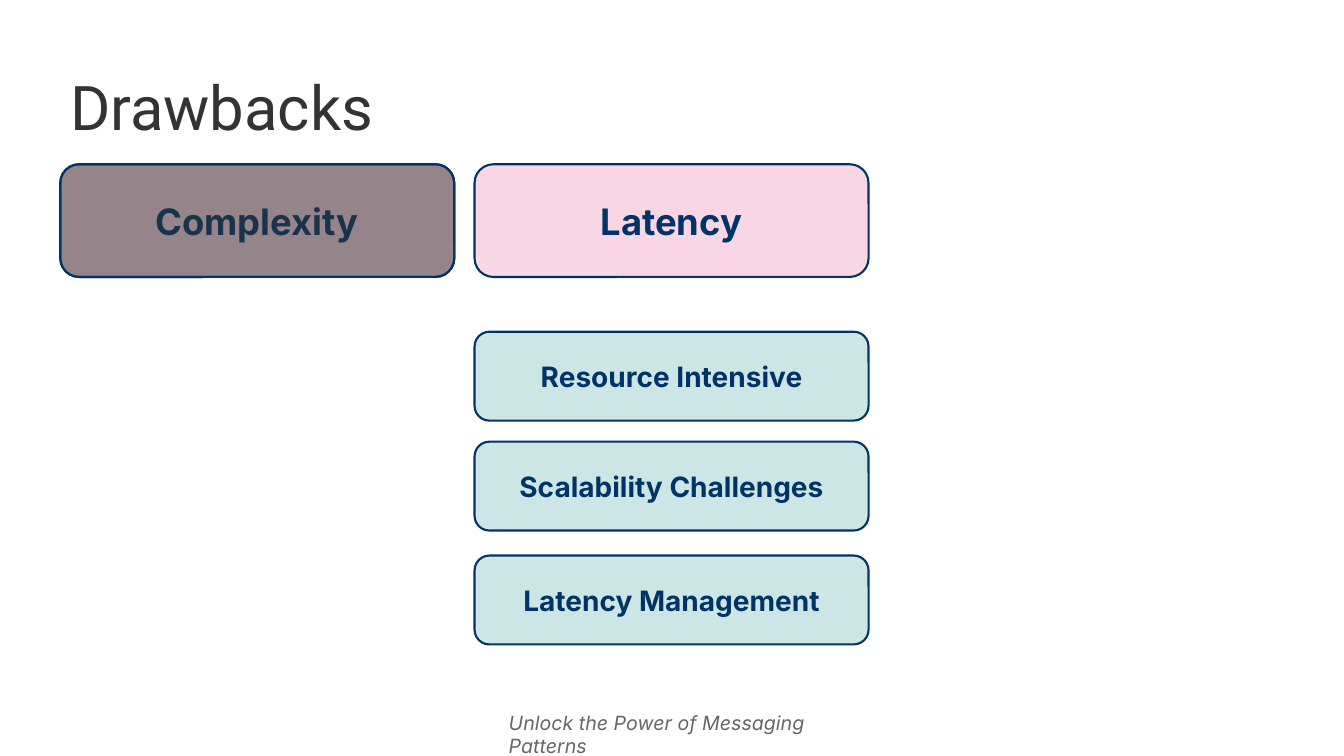
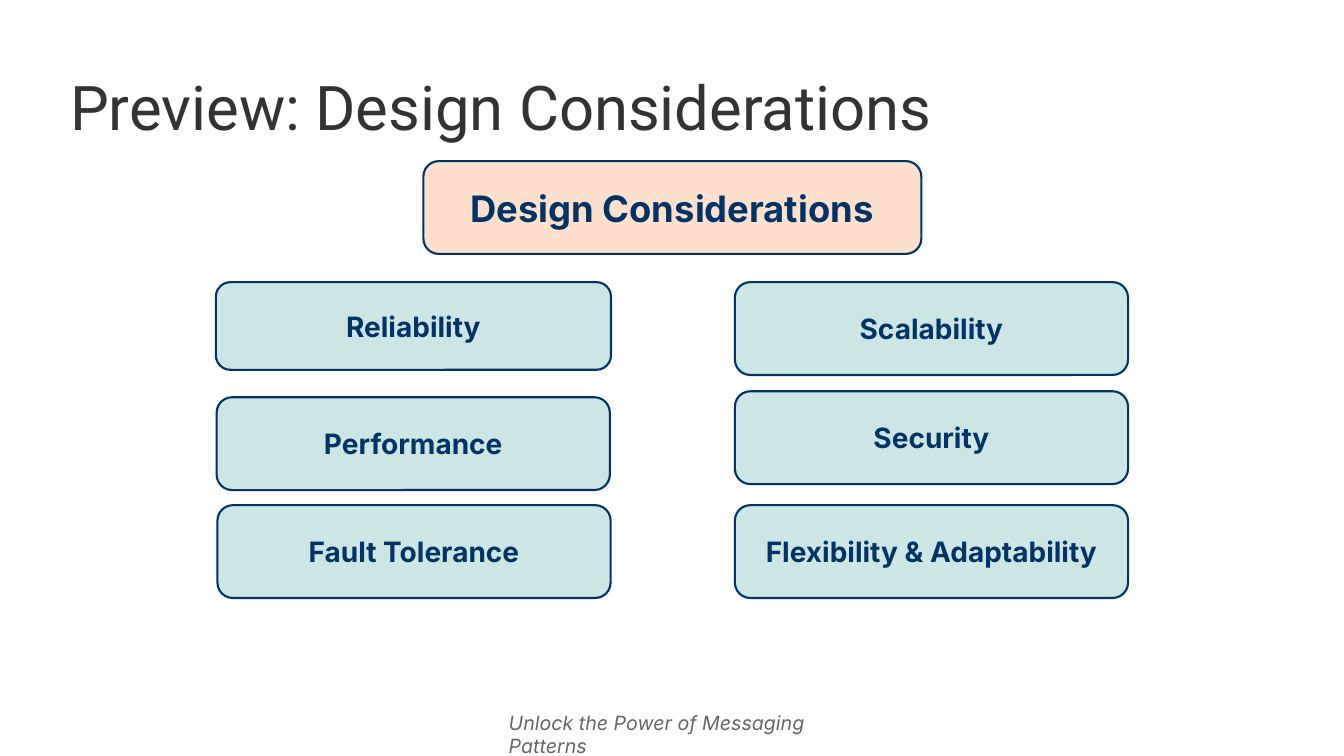
from dataclasses import dataclass

from lxml import etree
from pptx import Presentation
from pptx import util as u
from pptx.dml.color import RGBColor
from pptx.enum import shapes, text
from pptx.oxml.ns import qn

NAVY = RGBColor(0x00, 0x33, 0x66)
DARK = RGBColor(0x33, 0x33, 0x33)
GREY = RGBColor(0x66, 0x66, 0x66)
PINK = RGBColor(0xDD, 0x33, 0x77)
TEAL = RGBColor(0x00, 0x80, 0x80)
RUST = RGBColor(0xFF, 0x66, 0x00)

TITLE = dict(name="Roboto", size=u.Pt(44), color=DARK)
FOOT = dict(name="Inter", size=u.Pt(14), color=GREY, italic=True)
HEAD = dict(name="Inter", size=u.Pt(26), color=NAVY, bold=True)
ITEM = HEAD | dict(size=u.Pt(20))

LEFT = 1.52
MID = 11.96
WIDE = 9.93


@dataclass
class Box:
    x: float
    y: float
    w: float
    h: float

    def cm(self) -> list:
        return [u.Cm(v) for v in (self.x, self.y, self.w, self.h)]


@dataclass
class Card:
    words: str
    box: Box
    fill: RGBColor = TEAL
    style: dict = None
    alpha: int = 20


def write(shape, words: str, style: dict, **para) -> None:
    frame = shape.text_frame
    frame.word_wrap = True
    line = frame.paragraphs[0]
    for key, val in para.items():
        setattr(line, key, val)
    run = line.add_run()
    run.text = words
    for key, val in style.items():
        if key == "color":
            run.font.color.rgb = val
        else:
            setattr(run.font, key, val)


def label(slide, words: str, box: Box, style: dict, anchor, **para) -> None:
    shape = slide.shapes.add_textbox(*box.cm())
    write(shape, words, style, **para)
    shape.text_frame.vertical_anchor = anchor


def draw(slide, card: Card) -> None:
    shape = slide.shapes.add_shape(
        shapes.MSO_SHAPE.ROUNDED_RECTANGLE, *card.box.cm())
    shape.shadow.inherit = False
    shape.fill.solid()
    shape.fill.fore_color.rgb = card.fill
    tint = shape._element.spPr.find(qn("a:solidFill"))[0]
    etree.SubElement(tint, qn("a:alpha"), val=str(card.alpha * 1000))
    shape.line.color.rgb = NAVY
    shape.line.width = u.Pt(1.5)
    shape.text_frame.vertical_anchor = text.MSO_ANCHOR.MIDDLE
    if card.words:
        write(shape, card.words, card.style or ITEM,
              alignment=text.PP_ALIGN.CENTER)


def page(deck, title: str, cards: list[Card]) -> None:
    slide = deck.slides.add_slide(deck.slide_layouts[6])
    label(slide, "Unlock the Power of Messaging Patterns",
          Box(12.57, 17.78, 8.69, 0.86), FOOT, text.MSO_ANCHOR.TOP)
    label(slide, title, Box(LEFT, 1.27, 30.84, 3.05), TITLE,
          text.MSO_ANCHOR.MIDDLE, line_spacing=0.9)
    for card in cards:
        draw(slide, card)


def main() -> None:
    deck = Presentation()
    deck.slide_width, deck.slide_height = u.Cm(33.87), u.Cm(19.05)

    first = Box(LEFT, 4.14, WIDE, 2.84)
    issues = [
        Card("Complexity", first, PINK, HEAD),
        Card("Latency", Box(MID, 4.14, WIDE, 2.84), PINK, HEAD),
        Card("", first, DARK, alpha=50),
    ]
    for words, y in (("Resource Intensive", 8.36),
                     ("Scalability Challenges", 11.13),
                     ("Latency Management", 14)):
        issues.append(Card(words, Box(MID, y, WIDE, 2.24)))
    page(deck, "Drawbacks", issues)

    goals = [
        Card("Design Considerations", Box(10.67, 4.06, 12.55, 2.34),
             RUST, HEAD),
        Card("Reliability", Box(5.44, 7.11, 9.96, 2.21)),
    ]
    for words, x, y in (("Scalability", 18.52, 7.11),
                        ("Performance", 5.46, 10.01),
                        ("Security", 18.52, 9.86),
                        ("Fault Tolerance", 5.48, 12.73),
                        ("Flexibility & Adaptability", 18.52, 12.73)):
        goals.append(Card(words, Box(x, y, 9.91, 2.34)))
    page(deck, "Preview: Design Considerations", goals)

    deck.save("out.pptx")


if __name__ == "__main__":
    main()
